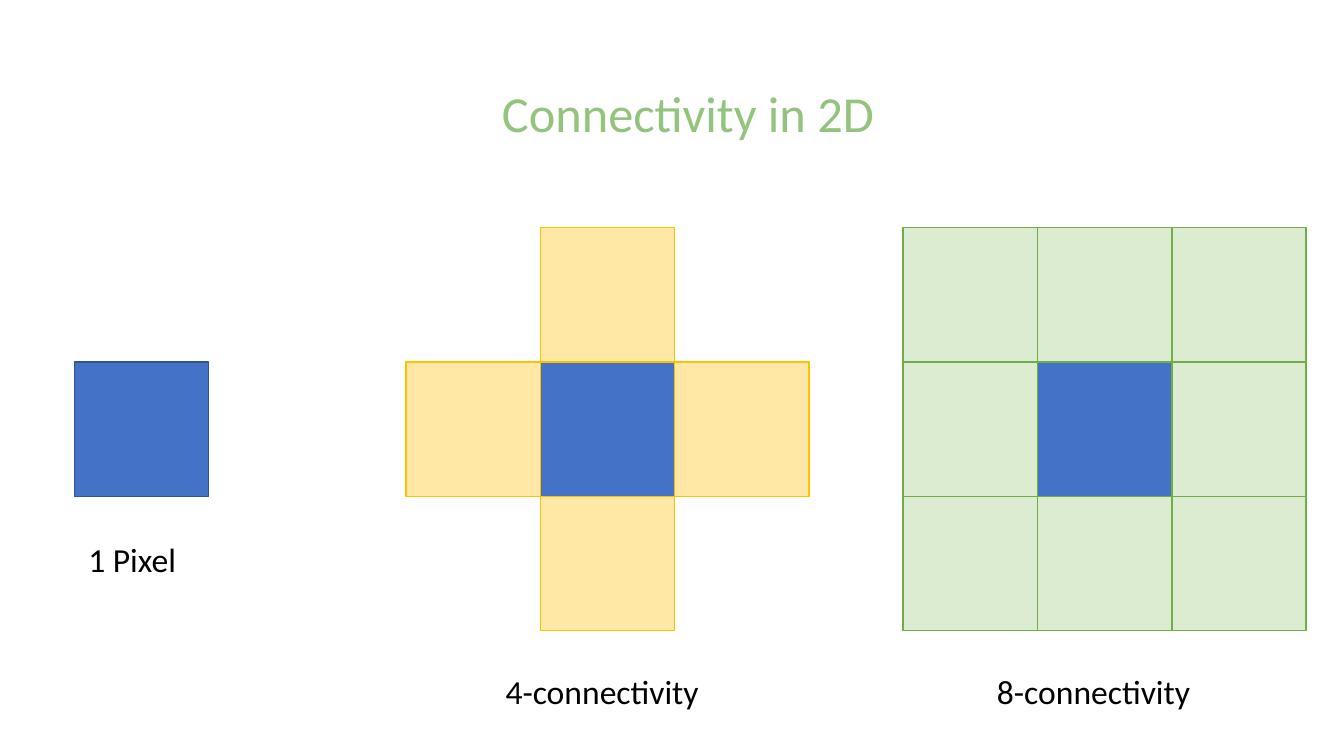
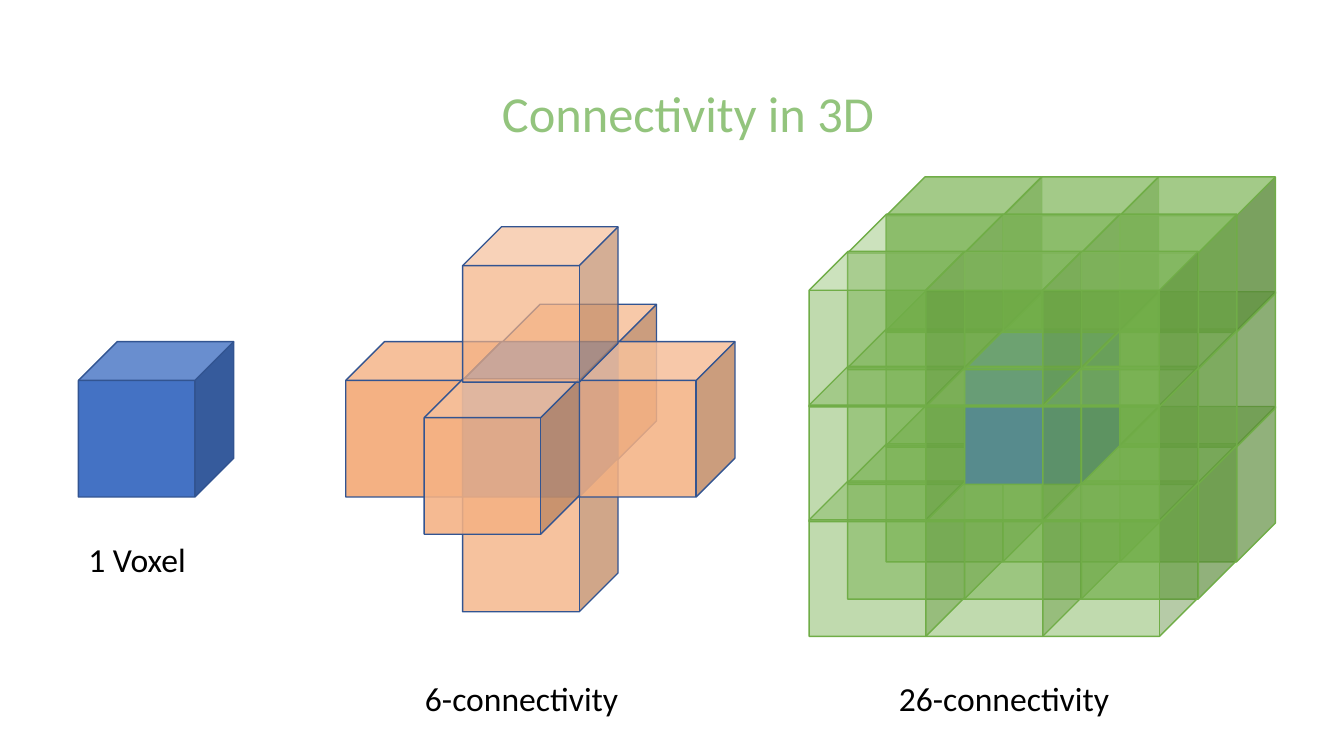
from dataclasses import dataclass
from itertools import product

from lxml.etree import SubElement
from pptx import Presentation
from pptx.dml.color import RGBColor
from pptx.enum.shapes import MSO_SHAPE
from pptx.enum.text import MSO_AUTO_SIZE, PP_ALIGN
from pptx.oxml.ns import qn
from pptx.util import Pt


@dataclass(frozen=True)
class Theme:
    font: str = "Calibri"
    title_size: int = 36
    label_size: int = 24
    title: str = "93C47D"
    text: str = "000000"
    core: str = "4472C4"
    core_line: str = "325491"
    yellow: str = "FFD966"
    yellow_line: str = "FFC000"
    pale_green: str = "C5E0B4"
    orange: str = "F4B183"
    green: str = "70AD47"


THEME = Theme()

# Labels: text, left, top, width
LABELS_2D = [
    ("1 Pixel", 56, 381.5, 78),
    ("4-connectivity", 354, 476, 154),
    ("8-connectivity", 705, 476, 154),
]
LABELS_3D = [
    ("1 Voxel", 56, 381.5, 85),
    ("6-connectivity", 296.5, 481, 160),
    ("26-connectivity", 635, 481, 166),
]

# Pixels: neighbours are (column, row) offsets from the core
PIXEL = 96
PIXEL_TOP = 258.5
ONE_PIXEL_LEFT, FOUR_LEFT, EIGHT_LEFT = 53, 386, 741
FOUR_NEIGHBOURS = [(0, -1), (-1, 0), (0, 1), (1, 0)]
EIGHT_NEIGHBOURS = [cell for cell in product((-1, 0, 1), repeat=2) if cell != (0, 0)]

# Voxels: offsets are (right, up, toward the viewer)
VOXEL = 111
STEP_RIGHT, STEP_UP = 83.5, 82
DEPTH_X, DEPTH_Y = 27.5, 26.6
VOXEL_TOP = 244
ONE_VOXEL_LEFT, SIX_LEFT = 56, 330.5
SIX_VOXELS = [  # offset, opacity in percent; None marks the core
    ((0, -1, 0), 78),
    ((0, 0, -1), 85),
    ((-1, 0, 0), 100),
    ((0, 0, 0), None),
    ((0, 0, 1), 88),
    ((1, 0, 0), 86),
    ((0, 1, 0), 70),
]
BLOCK_LEFT, BLOCK_TOP = 689, 235
BLOCK_OPACITY = 44
DENSER_VOXELS = {
    (1, -1, -1): 66, (1, -1, 0): 66, (1, 0, -1): 69,
    (-1, 1, -1): 80, (0, 1, -1): 80, (1, 1, -1): 80,
}


def add_text(slide, text, box, size, color):
    tb = slide.shapes.add_textbox(*map(Pt, box))
    tf = tb.text_frame
    tf.text = text
    font = tf.paragraphs[0].runs[0].font
    font.name, font.size = THEME.font, Pt(size)
    font.color.rgb = RGBColor.from_string(color)
    return tf


def add_title(slide, text):
    tf = add_text(slide, text, (129, 54, 725, 60.5), THEME.title_size, THEME.title)
    tf.word_wrap = True
    tf.margin_left = tf.margin_right = tf.margin_top = tf.margin_bottom = Pt(9.6)
    p = tf.paragraphs[0]
    p.alignment = PP_ALIGN.CENTER
    p.line_spacing = 0.9


def add_labels(slide, labels):
    for text, left, top, width in labels:
        tf = add_text(slide, text, (left, top, width, 36), THEME.label_size, THEME.text)
        tf.word_wrap = False
        tf.auto_size = MSO_AUTO_SIZE.SHAPE_TO_FIT_TEXT


def add_block(slide, kind, left, top, side, fill, line, opacity=100):
    sp = slide.shapes.add_shape(kind, Pt(left), Pt(top), Pt(side), Pt(side))
    sp.shadow.inherit = False
    sp.fill.solid()
    sp.fill.fore_color.rgb = RGBColor.from_string(fill)
    if opacity < 100:
        color = sp._element.spPr.find(qn("a:solidFill"))[0]
        SubElement(color, qn("a:alpha"), val=str(opacity * 1000))
    sp.line.color.rgb = RGBColor.from_string(line)
    sp.line.width = Pt(1)


def add_pixels(slide, left, neighbours=(), fill=None, line=None, opacity=100):
    """Draw a core pixel, then its neighbours over its edges."""
    add_block(slide, MSO_SHAPE.RECTANGLE, left, PIXEL_TOP, PIXEL, THEME.core, THEME.core_line)
    for col, row in neighbours:
        add_block(slide, MSO_SHAPE.RECTANGLE, left + col * PIXEL, PIXEL_TOP + row * PIXEL,
                  PIXEL, fill, line, opacity)


def add_voxels(slide, left, top, voxels, fill, line):
    """Draw voxels from back to front around the core at left, top."""
    for (right, up, near), opacity in voxels:
        x = left + right * STEP_RIGHT - near * DEPTH_X
        y = top - up * STEP_UP + near * DEPTH_Y
        is_core = opacity is None
        add_block(slide, MSO_SHAPE.CUBE, x, y, VOXEL, THEME.core if is_core else fill,
                  line, 100 if is_core else opacity)


def block_voxels():
    """List the 3 x 3 x 3 block, bottom layer first and back row first."""
    for up, near, right in product((-1, 0, 1), repeat=3):
        offset = (right, up, near)
        yield offset, DENSER_VOXELS.get(offset, BLOCK_OPACITY) if any(offset) else None


def add_slide(prs, title, labels):
    slide = prs.slides.add_slide(prs.slide_layouts[6])
    add_title(slide, title)
    add_labels(slide, labels)
    return slide


def main():
    prs = Presentation()
    prs.slide_width, prs.slide_height = Pt(960), Pt(540)

    flat = add_slide(prs, "Connectivity in 2D", LABELS_2D)
    add_pixels(flat, ONE_PIXEL_LEFT)
    add_pixels(flat, FOUR_LEFT, FOUR_NEIGHBOURS, THEME.yellow, THEME.yellow_line, 58)
    add_pixels(flat, EIGHT_LEFT, EIGHT_NEIGHBOURS, THEME.pale_green, THEME.green, 61)

    solid = add_slide(prs, "Connectivity in 3D", LABELS_3D)
    add_voxels(solid, ONE_VOXEL_LEFT, VOXEL_TOP, [((0, 0, 0), None)],
               THEME.core, THEME.core_line)
    add_voxels(solid, SIX_LEFT, VOXEL_TOP, SIX_VOXELS, THEME.orange, THEME.core_line)
    add_voxels(solid, BLOCK_LEFT, BLOCK_TOP, block_voxels(), THEME.green, THEME.green)

    prs.save("out.pptx")


if __name__ == "__main__":
    main()
